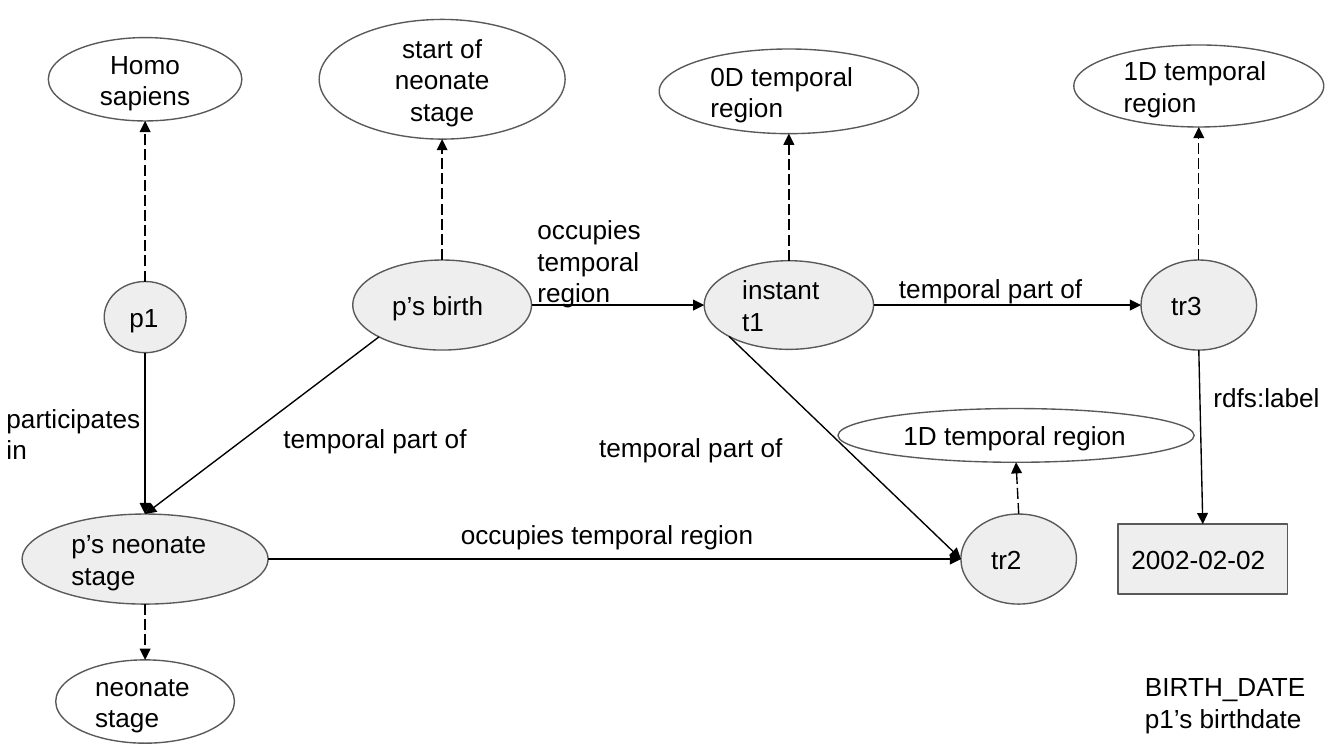
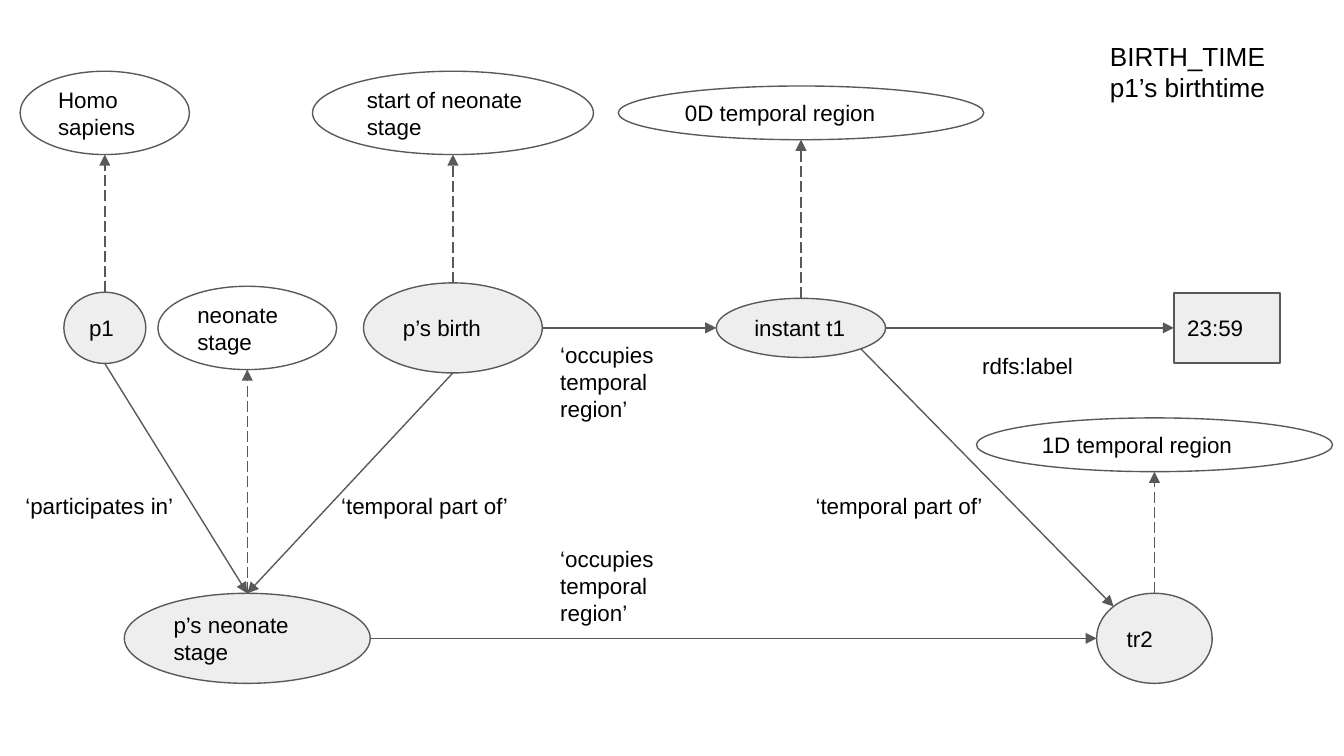
from lxml.etree import SubElement
from pptx import Presentation
from pptx.dml.color import RGBColor
from pptx.enum.dml import MSO_LINE
from pptx.enum.shapes import MSO_CONNECTOR, MSO_SHAPE
from pptx.enum.text import MSO_ANCHOR, MSO_AUTO_SIZE, PP_ALIGN
from pptx.oxml.ns import qn
from pptx.util import Inches, Pt

BLACK = RGBColor(0x00, 0x00, 0x00)
GREY = RGBColor(0x59, 0x59, 0x59)
LIGHT = RGBColor(0xEE, 0xEE, 0xEE)
FONT = "Arial"
LINE_WIDTH = Pt(0.75)
INSET = 0.1
TITLE_SIZE = 14

# Sizes of nodes that occur on both slides
PERSON, EVENT, STAGE = (0.61, 0.53), (1.33, 0.67), (1.83, 0.67)
REGION, STAGE_CLASS, FLAT_CLASS = (0.86, 0.67), (1.33, 0.62), (2.65, 0.4)

# Points on a node's outline, as shares of its half width and half height
DIAGONAL = 0.5 ** 0.5
SIDES = {
    "top": (0, -1), "bottom": (0, 1), "left": (-1, 0), "right": (1, 0),
    "top left": (-DIAGONAL, -DIAGONAL),
    "bottom left": (-DIAGONAL, DIAGONAL),
    "bottom right": (DIAGONAL, DIAGONAL),
}

# Node: name -> (kind, text, centre x, centre y, size)
# Arrow: (from node, side, to node, side); dashed when it ends at a class
# Label: (text, left, top, width, height)
DIAGRAMS = [
    {
        "title": ("BIRTH_DATE", "p1’s birthdate"),
        "title_box": (8.42, 4.94, 1.42, 0.57),
        "size": 14, "arrow_color": BLACK, "centred": ("human", "start"),
        "nodes": {
            "p1": ("individual", "p1", 1.08, 2.36, PERSON),
            "birth": ("individual", "p’s birth", 3.29, 2.27, EVENT),
            "instant": ("individual", "instant t1", 5.87, 2.27, (1.26, 0.66)),
            "tr3": ("individual", "tr3", 8.92, 2.27, REGION),
            "stage": ("individual", "p’s neonate stage", 1.08, 4.16, STAGE),
            "tr2": ("individual", "tr2", 7.58, 4.16, REGION),
            "value": ("literal", "2002-02-02", 8.95, 4.16, (1.26, 0.52)),
            "human": ("class", "Homo sapiens", 1.08, 0.59, (1.44, 0.62)),
            "start": ("class", "start of neonate stage", 3.29, 0.59, (1.83, 0.89)),
            "0D": ("class", "0D temporal region", 5.87, 0.68, (1.93, 0.63)),
            "1D top": ("class", "1D temporal region", 8.92, 0.64, (1.86, 0.61)),
            "1D": ("class", "1D temporal region", 7.56, 3.24, FLAT_CLASS),
            "neonate": ("class", "neonate stage", 1.08, 5.22, STAGE_CLASS),
        },
        "arrows": [
            ("p1", "top", "human", "bottom"),
            ("birth", "top", "start", "bottom"),
            ("instant", "top", "0D", "bottom"),
            ("tr3", "top", "1D top", "bottom"),
            ("tr2", "top", "1D", "bottom"),
            ("stage", "bottom", "neonate", "top"),
            ("p1", "bottom", "stage", "top"),
            ("birth", "bottom left", "stage", "top"),
            ("birth", "right", "instant", "left"),
            ("instant", "right", "tr3", "left"),
            ("instant", "bottom left", "tr2", "left"),
            ("stage", "right", "tr2", "left"),
            ("tr3", "bottom", "value", "top"),
        ],
        "labels": [
            ("participates in", -0.05, 2.89, 1.27, 0.55),
            ("temporal part of", 2.01, 3.04, 1.87, 0.4),
            ("temporal part of", 4.36, 3.11, 1.7, 0.33),
            ("temporal part of", 6.59, 1.93, 1.65, 0.33),
            ("occupies temporal region", 3.9, 1.49, 1.52, 0.44),
            ("occupies temporal region", 3.33, 3.76, 2.48, 0.44),
            ("rdfs:label", 8.93, 2.74, 1.01, 0.33),
        ],
    },
    {
        "title": ("BIRTH_TIME", "p1’s birthtime"),
        "title_box": (8.16, 0.25, 1.37, 0.57),
        "size": 12, "arrow_color": GREY, "centred": (),
        "nodes": {
            "p1": ("individual", "p1", 0.78, 2.44, PERSON),
            "birth": ("individual", "p’s birth", 3.37, 2.44, EVENT),
            "instant": ("individual", "instant t1", 5.96, 2.44, (1.26, 0.44)),
            "value": ("literal", "23:59", 9.13, 2.44, (0.79, 0.52)),
            "stage": ("individual", "p’s neonate stage", 1.84, 4.75, STAGE),
            "tr2": ("individual", "tr2", 8.59, 4.75, REGION),
            "human": ("class", "Homo sapiens", 0.78, 0.84, (1.26, 0.62)),
            "start": ("class", "start of neonate stage", 3.37, 0.84, (2.09, 0.62)),
            "0D": ("class", "0D temporal region", 5.96, 0.84, (2.72, 0.4)),
            "1D": ("class", "1D temporal region", 8.59, 3.31, FLAT_CLASS),
            "neonate": ("class", "neonate stage", 1.84, 2.44, STAGE_CLASS),
        },
        "arrows": [
            ("p1", "top", "human", "bottom"),
            ("birth", "top", "start", "bottom"),
            ("instant", "top", "0D", "bottom"),
            ("tr2", "top", "1D", "bottom"),
            ("stage", "top", "neonate", "bottom"),
            ("p1", "bottom", "stage", "top"),
            ("birth", "bottom", "stage", "top"),
            ("birth", "right", "instant", "left"),
            ("instant", "right", "value", "left"),
            ("instant", "bottom right", "tr2", "top left"),
            ("stage", "right", "tr2", "left"),
        ],
        "labels": [
            ("‘participates in’", 0.09, 3.56, 1.53, 0.21),
            ("‘temporal part of’", 2.44, 3.56, 1.67, 0.21),
            ("‘temporal part of’", 5.97, 3.56, 1.67, 0.21),
            ("‘occupies temporal region’", 4.07, 2.44, 1.29, 0.44),
            ("‘occupies temporal region’", 4.07, 3.96, 1.29, 0.44),
            ("rdfs:label", 7.21, 2.52, 1.02, 0.28),
        ],
    },
]


def write(text_frame, lines, size, alignment=PP_ALIGN.LEFT):
    text_frame.text = "\n".join(lines)
    for paragraph in text_frame.paragraphs:
        paragraph.alignment = alignment
        for run in paragraph.runs:
            run.font.name = FONT
            run.font.size = Pt(size)
            run.font.color.rgb = BLACK


def set_insets(text_frame):
    text_frame.word_wrap = True
    text_frame.margin_left = text_frame.margin_right = Inches(INSET)
    text_frame.margin_top = text_frame.margin_bottom = Inches(INSET)


def add_node(slide, node, size, alignment):
    kind, text, x, y, (width, height) = node
    preset = MSO_SHAPE.RECTANGLE if kind == "literal" else MSO_SHAPE.OVAL
    shape = slide.shapes.add_shape(
        preset, Inches(x - width / 2), Inches(y - height / 2),
        Inches(width), Inches(height))
    shape.shadow.inherit = False
    if kind == "class":
        shape.fill.background()
    else:
        shape.fill.solid()
        shape.fill.fore_color.rgb = LIGHT
    shape.line.color.rgb = GREY
    shape.line.width = LINE_WIDTH
    set_insets(shape.text_frame)
    shape.text_frame.vertical_anchor = MSO_ANCHOR.MIDDLE
    write(shape.text_frame, [text], size, alignment)


def outline_point(node, side):
    _, _, x, y, (width, height) = node
    across, down = SIDES[side]
    return Inches(x + across * width / 2), Inches(y + down * height / 2)


def add_arrow(slide, start, end, color, dashed):
    connector = slide.shapes.add_connector(MSO_CONNECTOR.STRAIGHT, *start, *end)
    connector.line.color.rgb = color
    connector.line.width = LINE_WIDTH
    if dashed:
        connector.line.dash_style = MSO_LINE.LONG_DASH
    properties = connector.line._get_or_add_ln()
    SubElement(properties, qn("a:tailEnd"), type="triangle")
    SubElement(properties.getparent(), qn("a:effectLst"))


def add_label(slide, text, box, size):
    label = slide.shapes.add_textbox(*map(Inches, box))
    set_insets(label.text_frame)
    write(label.text_frame, [text], size)


def add_title(slide, lines, box):
    title = slide.shapes.add_textbox(*map(Inches, box))
    title.text_frame.word_wrap = False
    title.text_frame.auto_size = MSO_AUTO_SIZE.SHAPE_TO_FIT_TEXT
    write(title.text_frame, lines, TITLE_SIZE)


# Widescreen page, 16 to 9
presentation = Presentation()
presentation.slide_width = Inches(10)
presentation.slide_height = Inches(10) * 9 // 16

for diagram in DIAGRAMS:
    slide = presentation.slides.add_slide(presentation.slide_layouts[6])
    nodes, size = diagram["nodes"], diagram["size"]
    # Nodes
    for name, node in nodes.items():
        centred = name in diagram["centred"]
        add_node(slide, node, size, PP_ALIGN.CENTER if centred else PP_ALIGN.LEFT)
    # Arrows
    for source, source_side, target, target_side in diagram["arrows"]:
        add_arrow(slide, outline_point(nodes[source], source_side),
                  outline_point(nodes[target], target_side),
                  diagram["arrow_color"], nodes[target][0] == "class")
    # Relation labels and title
    for text, *box in diagram["labels"]:
        add_label(slide, text, box, size)
    add_title(slide, diagram["title"], diagram["title_box"])

presentation.save("out.pptx")
